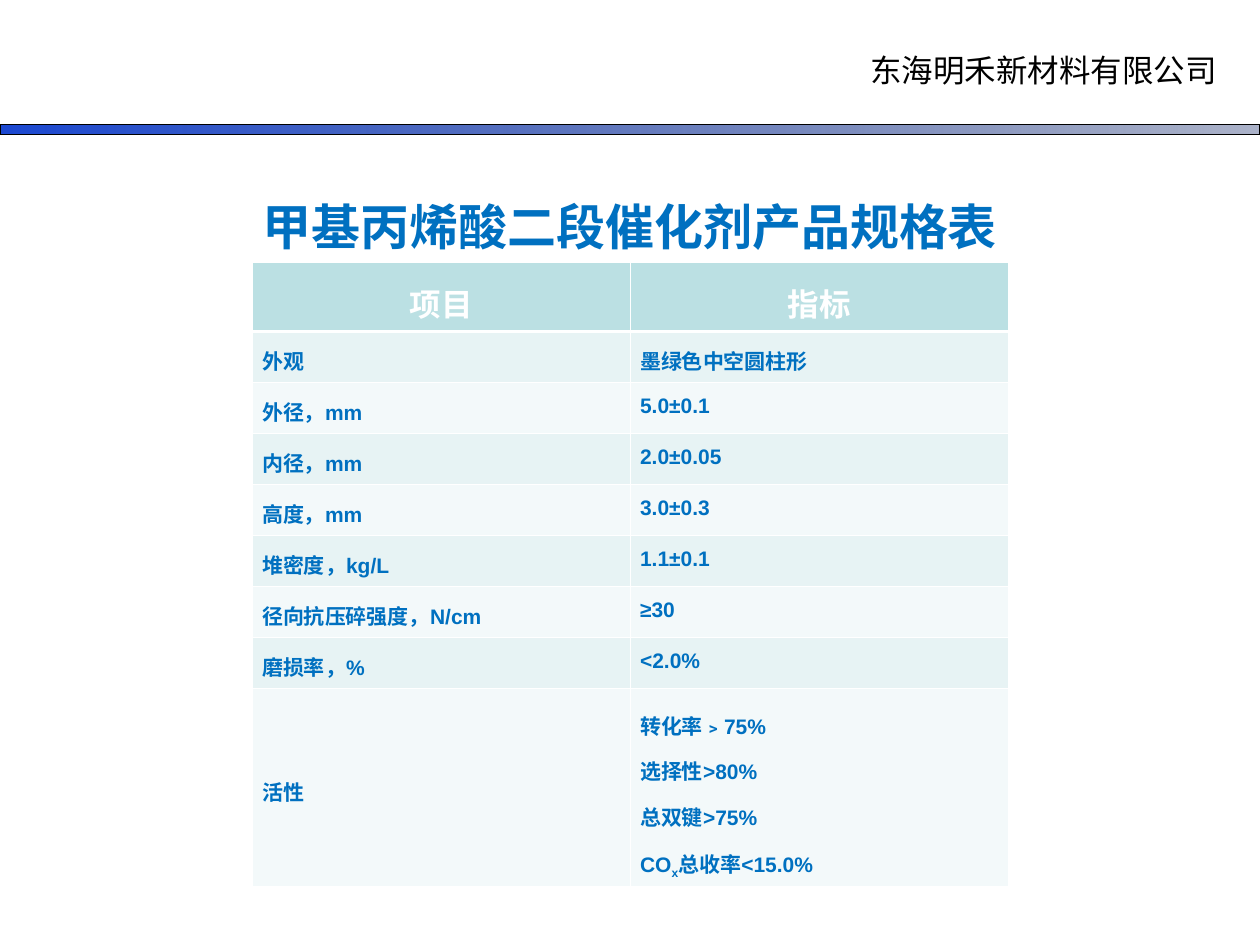
import pptx
import pptx.dml.color
import pptx.enum.shapes
import pptx.enum.text
import pptx.oxml
import pptx.oxml.ns
import pptx.util
from pptx.util import Inches

RGBColor = pptx.dml.color.RGBColor
BLACK = RGBColor(0x00, 0x00, 0x00)
WHITE = RGBColor(0xFF, 0xFF, 0xFF)
TEXT_BLUE = RGBColor(0x00, 0x70, 0xC0)
BAR_START = RGBColor(0x00, 0x33, 0xCC)
BAR_END = RGBColor(0x00, 0x18, 0x5E)
HEADER_FILL = RGBColor(0xBB, 0xE0, 0xE3)
BAND_FILLS = [RGBColor(0xF3, 0xF9, 0xFA), RGBColor(0xE7, 0xF3, 0xF4)]
CJK_FONT = "Noto Sans CJK SC"
ALIGN = pptx.enum.text.PP_ALIGN
ANCHOR = pptx.enum.text.MSO_ANCHOR


def add_span(para, text, size, color, bold=True, font="Arial", baseline=None):
    span = para.add_run()
    span.text = text
    span.font.size = pptx.util.Pt(size)
    span.font.bold = bold
    span.font.name = font
    span.font.color.rgb = color
    properties = span.font._element
    east_asian = pptx.oxml.parse_xml(
        f'<a:ea {pptx.oxml.ns.nsdecls("a")} typeface="{CJK_FONT}"/>')
    properties.find(pptx.oxml.ns.qn("a:latin")).addnext(east_asian)
    if baseline:
        properties.set("baseline", str(baseline * 1000))


def set_borders(cell, widths):
    properties = cell._tc.get_or_add_tcPr()
    for position, (side, width) in enumerate(widths.items()):
        properties.insert(position, pptx.oxml.parse_xml(
            f'<a:{side} {pptx.oxml.ns.nsdecls("a")} w="{pptx.util.Pt(width)}">'
            f'<a:solidFill><a:srgbClr val="{WHITE}"/></a:solidFill></a:{side}>'))


deck = pptx.Presentation()
deck.slide_width = Inches(10)
deck.slide_height = Inches(7.5)
page = deck.slides.add_slide(deck.slide_layouts[6])

# Company name
box = page.shapes.add_textbox(Inches(6.81), Inches(0.36), Inches(2.99), Inches(0.4))
box.text_frame.word_wrap = True
add_span(box.text_frame.paragraphs[0], "东海明禾新材料有限公司", 18, BLACK, bold=False)

# Gradient bar under the header
bar = page.shapes.add_shape(pptx.enum.shapes.MSO_SHAPE.RECTANGLE,
                            Inches(0), Inches(0.99), Inches(10), Inches(0.08))
bar.shadow.inherit = False
bar.line.color.rgb = BLACK
bar.line.width = pptx.util.Pt(0.75)
bar.fill.gradient()
bar.fill.gradient_angle = 0
for stop, color, opacity in zip(bar.fill.gradient_stops, [BAR_START, BAR_END], [90, 33]):
    stop.color.rgb = color
    color_element = stop._gs.find(pptx.oxml.ns.qn("a:srgbClr"))
    color_element.append(pptx.oxml.parse_xml(
        f'<a:alpha {pptx.oxml.ns.nsdecls("a")} val="{opacity * 1000}"/>'))

# Title
title = page.shapes.add_textbox(Inches(0.5), Inches(1.17), Inches(9), Inches(1.25))
title.text_frame.word_wrap = True
title.text_frame.vertical_anchor = ANCHOR.MIDDLE
para = title.text_frame.paragraphs[0]
para.alignment = ALIGN.CENTER
add_span(para, "甲基丙烯酸二段催化剂产品规格表", 28, TEXT_BLUE, font=CJK_FONT)

# Specification table: the activity cell lists paragraphs of (text, options) runs
activity = [
    [("转化率", {}), ("﹥", {"font": "Times New Roman"}), ("75%", {})],
    [("选择性>80%", {})],
    [("总双键>75%", {})],
    [("CO", {}), ("x", {"baseline": -25}), ("总收率<15.0%", {})],
]
rows = [
    ("项目", "指标"),
    ("外观", "墨绿色中空圆柱形"),
    ("外径，mm ", "5.0±0.1"),
    ("内径，mm", "2.0±0.05"),
    ("高度，mm ", "3.0±0.3"),
    ("堆密度，kg/L ", "1.1±0.1"),
    ("径向抗压碎强度，N/cm", "≥30"),
    ("磨损率，%", "<2.0% "),
    ("活性", activity),
]
heights = [0.55] + [0.405] * 7 + [1.57]
heights[0] = 0.55
table = page.shapes.add_table(len(rows), 2, Inches(2), Inches(2.08),
                              Inches(6), Inches(sum(heights))).table
for column in table.columns:
    column.width = Inches(3)

for row_index, (values, height) in enumerate(zip(rows, heights)):
    table.rows[row_index].height = Inches(height)
    is_header = row_index == 0
    for column_index, value in enumerate(values):
        cell = table.cell(row_index, column_index)
        cell.margin_left = cell.margin_right = Inches(0.08)
        cell.margin_top = cell.margin_bottom = Inches(0.05)
        cell.fill.solid()
        cell.fill.fore_color.rgb = HEADER_FILL if is_header else BAND_FILLS[row_index % 2]
        set_borders(cell, {"lnL": 0.45, "lnR": 0.45,
                           "lnT": 1.47 if row_index == 1 else 0.45,
                           "lnB": 1.47 if is_header else 0.45})
        if is_header or value == "活性":
            cell.vertical_anchor = ANCHOR.MIDDLE
        lines = [[(value, {})]] if isinstance(value, str) else value
        for line_index, line in enumerate(lines):
            frame = cell.text_frame
            para = frame.add_paragraph() if line_index else frame.paragraphs[0]
            para.alignment = ALIGN.CENTER if is_header else ALIGN.JUSTIFY
            para.line_spacing = 1.5 if value is activity else 1.25
            for text, options in line:
                add_span(para, text, 18 if is_header else 12,
                         WHITE if is_header else TEXT_BLUE, **options)

deck.save("out.pptx")
